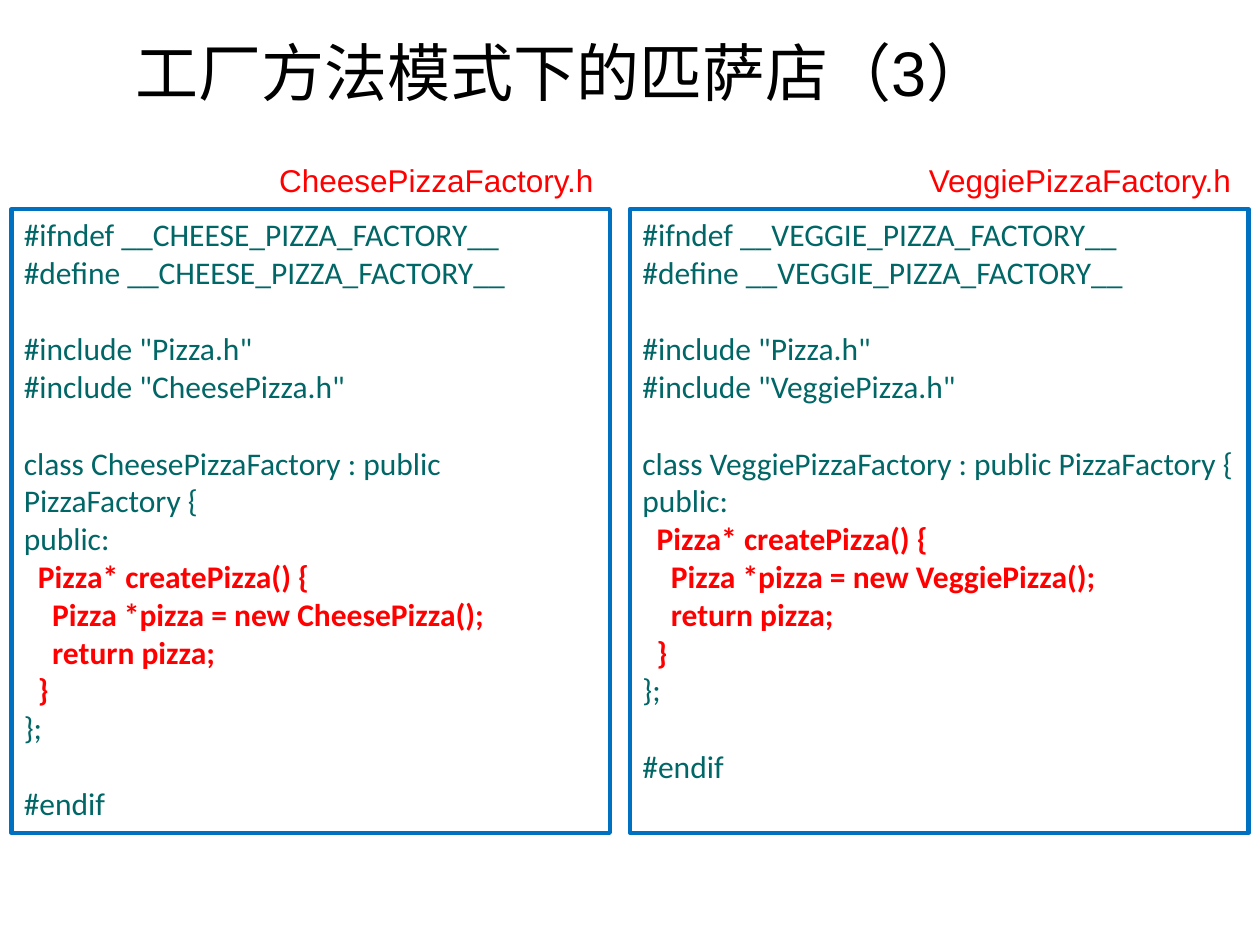
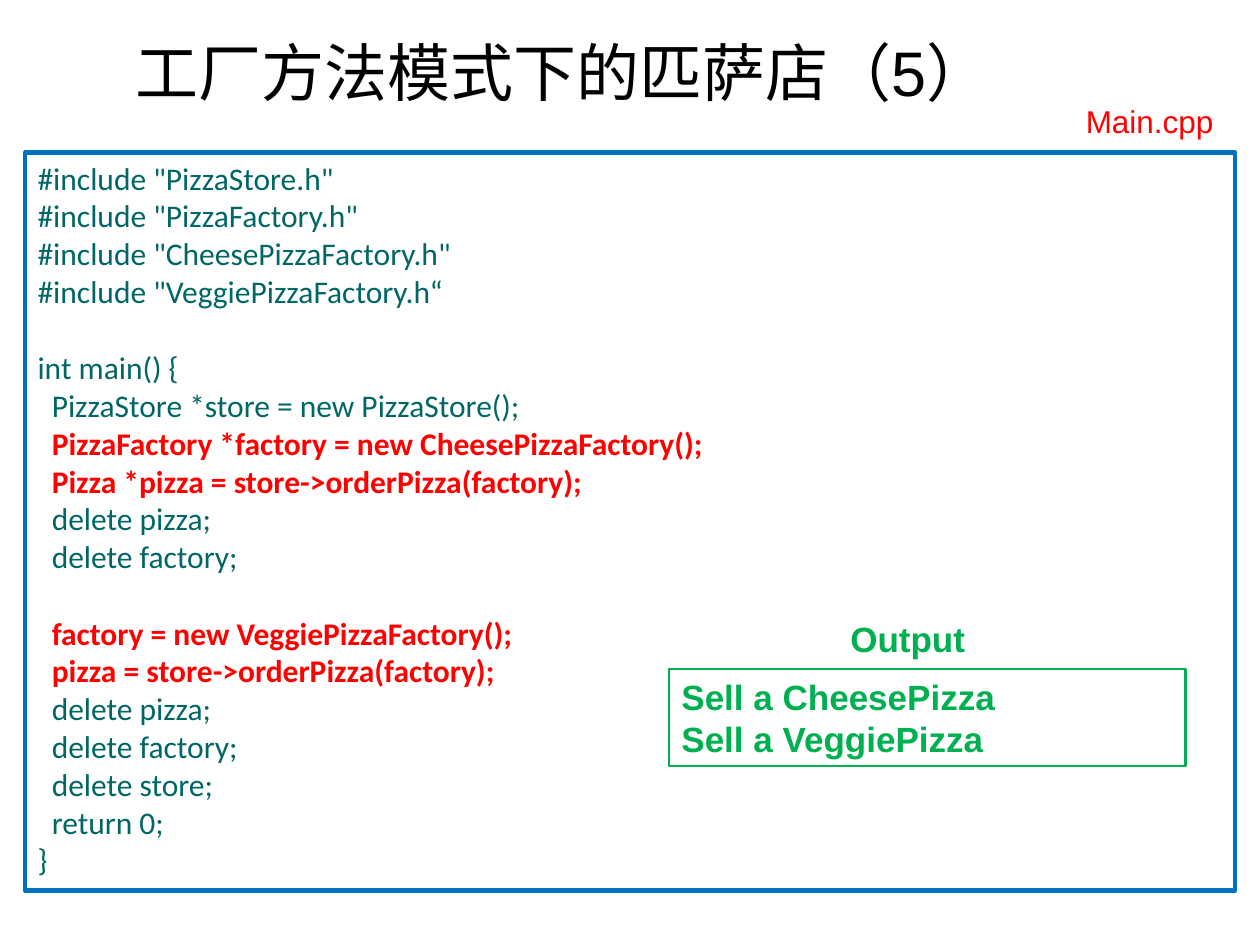
import pptx
import pptx.util
import pptx.dml.color
import pptx.enum.shapes
import pptx.enum.text

WIDTH, HEIGHT = pptx.util.Inches(10), pptx.util.Inches(7.5)
# Grid of 100 columns by 75 rows
COL, ROW = WIDTH / 100, HEIGHT / 75
COLORS = {"title": "000000", "code": "006666", "hot": "FF0000",
          "frame": "0070C0", "output": "00B050", "paper": "FFFFFF"}
CODE_SIZE = 18
BLANK_GAP = 22  # height of one empty code line, in points
ALIGN = pptx.enum.text.PP_ALIGN
ANCHOR = pptx.enum.text.MSO_ANCHOR

# Code blocks alternate between plain and hot lines
FACTORY = (
    '''#ifndef __UPPER_PIZZA_FACTORY__
#define __UPPER_PIZZA_FACTORY__

#include "Pizza.h"
#include "KindPizza.h"

class KindPizzaFactory : public PizzaFactory {
public:''',
    '''  Pizza* createPizza() {
    Pizza *pizza = new KindPizza();
    return pizza;
  }''',
    '''};

#endif''')
MAIN = (
    '''#include "PizzaStore.h"
#include "PizzaFactory.h"
#include "CheesePizzaFactory.h"
#include "VeggiePizzaFactory.h“

int main() {
  PizzaStore *store = new PizzaStore();''',
    '''  PizzaFactory *factory = new CheesePizzaFactory();
  Pizza *pizza = store->orderPizza(factory);''',
    '''  delete pizza;
  delete factory;
''',
    '''  factory = new VeggiePizzaFactory();
  pizza = store->orderPizza(factory);''',
    '''  delete pizza;
  delete factory;
  delete store;
  return 0;
}''')


def rgb(name):
    return pptx.dml.color.RGBColor.from_string(COLORS[name])


def place(left, top, width, height):
    return [round(n) for n in (left * COL, top * ROW, width * COL, height * ROW)]


def write(frame, text, size=CODE_SIZE, color="code", font="Arial", bold=False,
          align=ALIGN.LEFT, gap=0, first=True):
    """Add one paragraph to a text frame."""
    line = frame.paragraphs[0] if first else frame.add_paragraph()
    line.alignment = align
    line.space_before = pptx.util.Pt(gap)
    run = line.add_run()
    run.text = text
    run.font.size = pptx.util.Pt(size)
    run.font.name = font
    run.font.bold = bold
    run.font.color.rgb = rgb(color)


def label(slide, text, area, anchor=ANCHOR.TOP, **style):
    frame = slide.shapes.add_textbox(*place(*area)).text_frame
    frame.word_wrap = True
    frame.vertical_anchor = anchor
    write(frame, text, **style)


def panel(slide, area, color, weight, fill=None, anchor=ANCHOR.TOP):
    """Draw a framed box and return its text frame."""
    box = slide.shapes.add_shape(
        pptx.enum.shapes.MSO_SHAPE.RECTANGLE, *place(*area))
    box.shadow.inherit = False
    if fill:
        box.fill.solid()
        box.fill.fore_color.rgb = rgb(fill)
    else:
        box.fill.background()
    box.line.color.rgb = rgb(color)
    box.line.width = pptx.util.Pt(weight)
    box.text_frame.word_wrap = True
    box.text_frame.vertical_anchor = anchor
    return box.text_frame


def listing(slide, blocks, area):
    """Frame a code listing; an empty line becomes space before the next."""
    frame = panel(slide, area, "frame", 2.5)
    first, gap = True, 0
    for index, block in enumerate(blocks):
        hot = index % 2 == 1
        for text in block.split("\n"):
            if not text:
                gap = BLANK_GAP
                continue
            write(frame, text, font="Calibri", bold=hot, gap=gap, first=first,
                  color="hot" if hot else "code")
            first, gap = False, 0


def file_name(slide, text, area):
    label(slide, text, area, color="hot", align=ALIGN.RIGHT)


def new_slide(deck, number):
    slide = deck.slides.add_slide(deck.slide_layouts[6])
    label(slide, f"工厂方法模式下的匹萨店（{number}）", (9.8, 1.3, 92.9, 8.7),
          anchor=ANCHOR.MIDDLE, size=36, color="title")
    return slide


def factories(deck):
    slide = new_slide(deck, 3)
    for kind, left, width, name_left, name_width in (
            ("Cheese", 0.9, 47.5, 20.1, 28), ("Veggie", 50, 49.1, 65.7, 33)):
        blocks = [block.replace("UPPER", kind.upper()).replace("Kind", kind)
                  for block in FACTORY]
        listing(slide, blocks, (left, 16.6, width, 49.5))
        file_name(slide, f"{kind}PizzaFactory.h", (name_left, 12.3, name_width, 4))


def client(deck):
    slide = new_slide(deck, 5)
    listing(slide, MAIN, (2, 12.1, 96, 58.6))
    file_name(slide, "Main.cpp", (70.5, 7.6, 26.8, 4))
    # Program output
    style = dict(size=20, color="output", bold=True)
    frame = panel(slide, (53.1, 53.1, 41, 7.7), "output", 1.5,
                  fill="paper", anchor=ANCHOR.MIDDLE)
    for index, kind in enumerate(("Cheese", "Veggie")):
        write(frame, f"Sell a {kind}Pizza", first=index == 0, **style)
    label(slide, "Output", (66.5, 48.5, 16.5, 4.4), **style)


def main():
    deck = pptx.Presentation()
    deck.slide_width, deck.slide_height = WIDTH, HEIGHT
    factories(deck)
    client(deck)
    deck.save("out.pptx")


if __name__ == "__main__":
    main()
